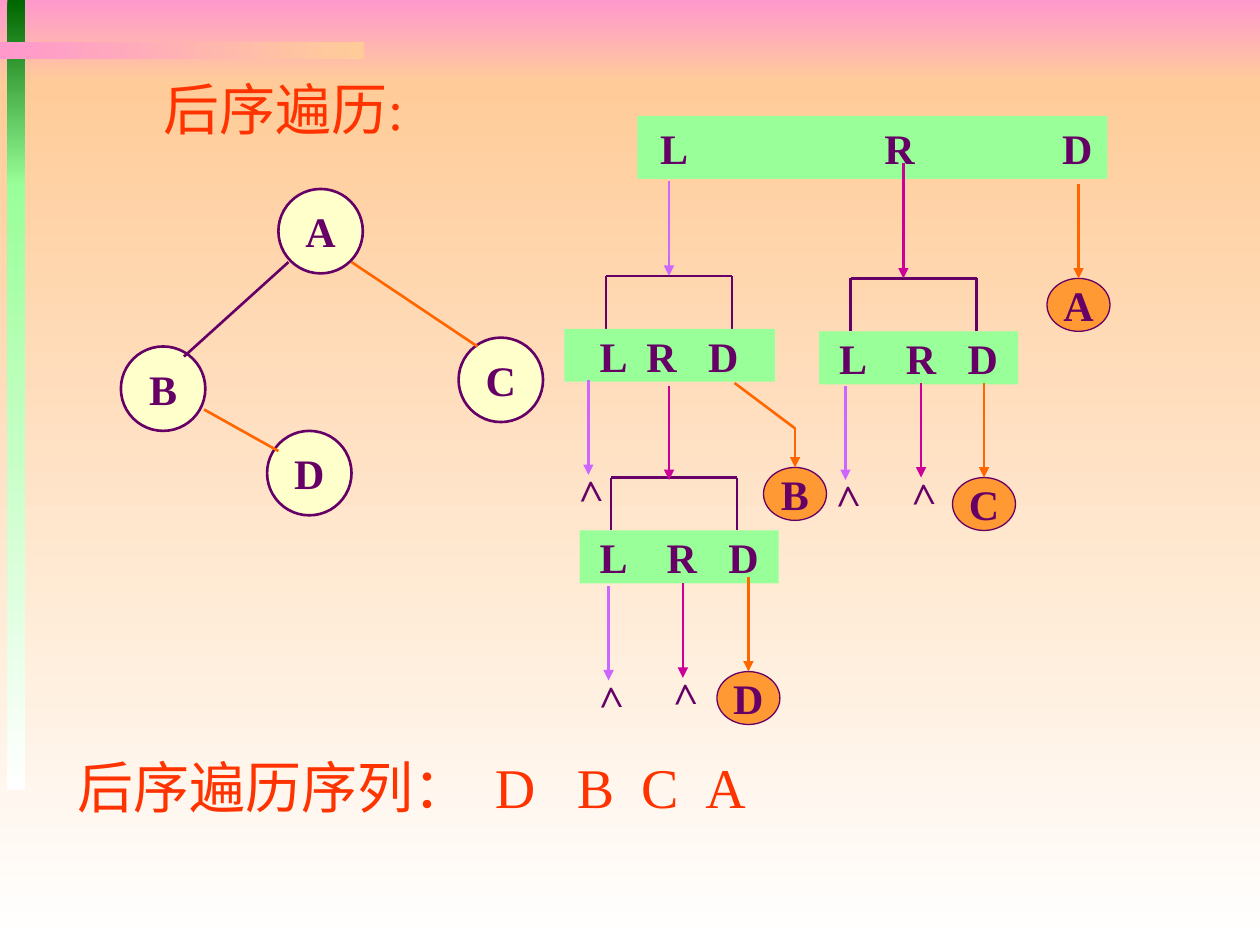
from lxml import etree
from pptx import Presentation
from pptx.dml.color import RGBColor
from pptx.enum import shapes, text
from pptx.oxml.ns import qn
from pptx.util import Inches, Pt

PINK = RGBColor(0xFF, 0x99, 0xCC)
PEACH = RGBColor(0xFF, 0xCC, 0x99)
WHITE = RGBColor(0xFF, 0xFF, 0xFF)
DARK_GREEN = RGBColor(0x00, 0x66, 0x00)
GREEN = RGBColor(0x99, 0xFF, 0x99)
CREAM = RGBColor(0xFF, 0xFF, 0xCC)
AMBER = RGBColor(0xFF, 0x99, 0x33)
PURPLE = RGBColor(0x66, 0x00, 0x66)
LILAC = RGBColor(0xCC, 0x66, 0xFF)
MAGENTA = RGBColor(0xCC, 0x00, 0x99)
ORANGE = RGBColor(0xFF, 0x66, 0x00)
RED = RGBColor(0xFF, 0x33, 0x00)

FONT = "Times New Roman"
RECT = shapes.MSO_SHAPE.RECTANGLE
OVAL = shapes.MSO_SHAPE.OVAL
NODE = 0.67
ARROW = 0.75
BAR_H = 0.42
LEAF_W, LEAF_H = 0.5, 0.42


def add_shape(s, kind, x, y, w, h):
    sp = s.shapes.add_shape(kind, Inches(x), Inches(y), Inches(w), Inches(h))
    sp.shadow.inherit = False
    sp.line.fill.background()
    return sp


def gradient_bar(s, x, y, w, h, first, last, angle=270):
    sp = add_shape(s, RECT, x, y, w, h)
    sp.fill.gradient()
    sp.fill.gradient_angle = angle
    for stop, color in zip(sp.fill.gradient_stops, (first, last)):
        stop.color.rgb = color


def write(sp, words, size=24, color=PURPLE, bold=True, align=text.PP_ALIGN.LEFT,
          stops=(), wrap=True):
    """Fill a shape with one line; stops are tab positions from the text start."""
    tf = sp.text_frame
    tf.word_wrap = wrap
    p = tf.paragraphs[0]
    p.alignment = align
    if stops:
        tabs = etree.SubElement(p._p.get_or_add_pPr(), qn("a:tabLst"))
        for stop in stops:
            etree.SubElement(tabs, qn("a:tab"), pos=str(Inches(stop)), algn="l")
    r = p.add_run()
    r.text = words
    r.font.size = Pt(size)
    r.font.name = FONT
    r.font.bold = bold
    r.font.color.rgb = color


def add_line(s, x1, y1, x2, y2, color=PURPLE, arrow=False):
    c = s.shapes.add_connector(shapes.MSO_CONNECTOR.STRAIGHT, Inches(x1),
                               Inches(y1), Inches(x2), Inches(y2))
    c.line.color.rgb = color
    c.line.width = Pt(1.5)
    if arrow:
        etree.SubElement(c.line._get_or_add_ln(), qn("a:tailEnd"), type="triangle")
    etree.SubElement(c._element.spPr, qn("a:effectLst"))


def down_arrow(s, x, y, color, length=ARROW):
    add_line(s, x, y, x, y + length, color, arrow=True)


def circle(s, letter, x, y, w, h, fill, weight):
    sp = add_shape(s, OVAL, x, y, w, h)
    sp.fill.solid()
    sp.fill.fore_color.rgb = fill
    sp.line.color.rgb = PURPLE
    sp.line.width = Pt(weight)
    sp.text_frame.vertical_anchor = text.MSO_ANCHOR.MIDDLE
    write(sp, letter, align=text.PP_ALIGN.CENTER, wrap=False)


def order_bar(s, x, y, w, h, inset, stops):
    """Green bar with L, R and D; L starts at the inset."""
    sp = add_shape(s, RECT, x, y, w, h)
    sp.fill.solid()
    sp.fill.fore_color.rgb = GREEN
    tf = sp.text_frame
    tf.margin_left, tf.margin_right = Inches(inset), 0
    tf.vertical_anchor = text.MSO_ANCHOR.MIDDLE
    write(sp, "L\tR\tD", stops=stops)


def subtree(s, x, y, w, bracket, inset, stops):
    """Bracket one inch wide, standing on an order bar."""
    left, right, bar_top = x + bracket, x + bracket + 1, y + BAR_H
    add_line(s, left, y, right, y)
    for side in (left, right):
        add_line(s, side, y, side, bar_top)
    order_bar(s, x, bar_top, w, BAR_H, inset, stops)


def empty_branch(s, x, y, color):
    """Arrow down to a caret that marks an empty subtree."""
    down_arrow(s, x, y, color)
    tb = s.shapes.add_textbox(Inches(x - 0.21), Inches(y + 0.62),
                              Inches(0.42), Inches(0.5))
    tb.rotation = 268.3
    write(tb, ">")


def visit(s, letter, x, y, length=ARROW):
    """Arrow down to the node that is visited."""
    circle(s, letter, x - LEAF_W / 2, y + length, LEAF_W, LEAF_H, AMBER, 0.75)
    down_arrow(s, x, y, ORANGE, length)


def caption(s, words, x, y, w, stops=()):
    tb = s.shapes.add_textbox(Inches(x), Inches(y), Inches(w), Inches(0.64))
    write(tb, words, 32, RED, bold=False, stops=stops)


def background(s):
    gradient_bar(s, 0, 0, 10, 0.67, PINK, PEACH)
    gradient_bar(s, 0, 0.67, 10, 6.83, PEACH, WHITE)
    gradient_bar(s, 0.06, 0, 0.14, 1.48, DARK_GREEN, GREEN)
    gradient_bar(s, 0.06, 1.46, 0.14, 4.81, GREEN, WHITE)
    gradient_bar(s, 0, 0.33, 2.89, 0.14, PINK, PEACH, angle=0)


def binary_tree(s, x, y):
    for letter, dx, dy in (("A", 1.25, 0), ("D", 1.16, 1.92),
                           ("B", 0, 1.25), ("C", 2.68, 1.18)):
        circle(s, letter, x + dx, y + dy, NODE, NODE, CREAM, 1.5)
    for x1, y1, x2, y2, color in ((1.33, 0.58, 0.5, 1.33, PURPLE),
                                  (1.83, 0.58, 2.83, 1.25, ORANGE),
                                  (0.66, 1.75, 1.25, 2.08, ORANGE)):
        add_line(s, x + x1, y + y1, x + x2, y + y2, color)


def traversal(s, x, y):
    """Recursive expansion of L, R, D from the top left corner given."""
    order_bar(s, x + 0.58, y, 3.73, 0.5, 0.18, (1.78, 3.19))
    down_arrow(s, x + 0.83, y + 0.52, LILAC)
    visit(s, "A", x + 4.08, y + 0.54)

    subtree(s, x, y + 1.27, 1.67, 0.33, 0.28, (0.37, 0.86))
    empty_branch(s, x + 0.19, y + 2.1, LILAC)
    add_line(s, x + 1.35, y + 2.12, x + 1.83, y + 2.48, ORANGE)
    visit(s, "B", x + 1.83, y + 2.48, 0.31)

    narrow = (0.53, 1.02)
    subtree(s, x + 0.12, y + 2.87, 1.58, 0.25, 0.16, narrow)
    down_arrow(s, x + 0.83, y + 2.14, MAGENTA)
    empty_branch(s, x + 0.94, y + 3.71, MAGENTA)
    empty_branch(s, x + 0.35, y + 3.73, LILAC)
    visit(s, "D", x + 1.46, y + 3.66)

    subtree(s, x + 2.02, y + 1.29, 1.58, 0.25, 0.16, narrow)
    down_arrow(s, x + 2.69, y + 0.37, MAGENTA, 0.92)
    empty_branch(s, x + 2.83, y + 2.12, MAGENTA)
    empty_branch(s, x + 2.23, y + 2.14, LILAC)
    visit(s, "C", x + 3.33, y + 2.12)


def main():
    prs = Presentation()
    prs.slide_width, prs.slide_height = Inches(10), Inches(7.5)
    s = prs.slides.add_slide(prs.slide_layouts[6])
    background(s)
    binary_tree(s, 0.96, 1.5)
    traversal(s, 4.48, 0.92)
    caption(s, "后序遍历序列：\tD\tB\tC\tA", 0.52, 5.92, 5.53,
            (3.31, 3.96, 4.47, 4.98))
    caption(s, "后序遍历:", 1.2, 0.54, 2.21)
    prs.save("out.pptx")


if __name__ == "__main__":
    main()
